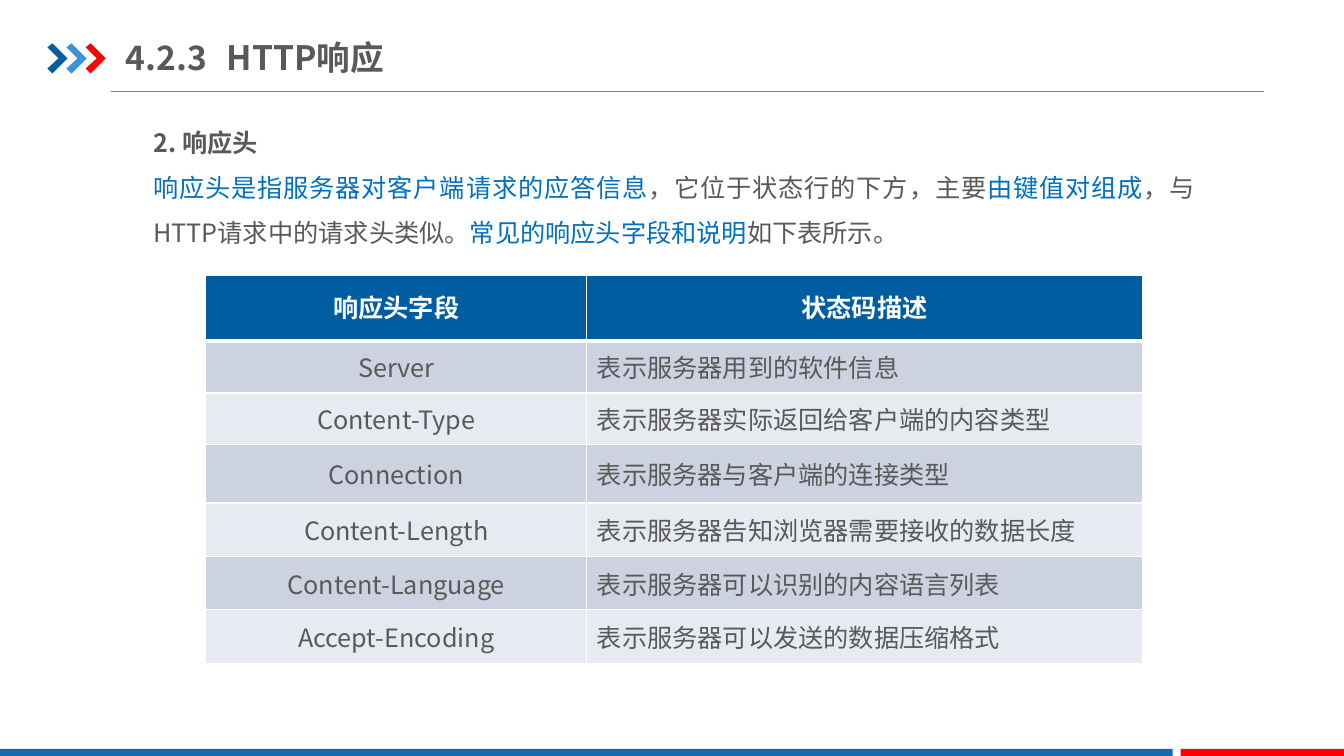
from dataclasses import dataclass

from lxml import etree
from pptx import Presentation
from pptx.dml.color import RGBColor
from pptx.enum.shapes import MSO_CONNECTOR, MSO_SHAPE
from pptx.enum.text import MSO_ANCHOR, PP_ALIGN
from pptx.oxml.ns import qn
from pptx.util import Inches, Pt

STRAIGHT = MSO_CONNECTOR.STRAIGHT
RECTANGLE = MSO_SHAPE.RECTANGLE
MIDDLE, TOP = MSO_ANCHOR.MIDDLE, MSO_ANCHOR.TOP
LEFT, CENTER, JUSTIFY = PP_ALIGN.LEFT, PP_ALIGN.CENTER, PP_ALIGN.JUSTIFY


@dataclass(frozen=True)
class Theme:
    font: str = "Noto Sans CJK SC"
    title_size: int = 24
    body_size: int = 18
    text: str = "595959"
    accent: str = "0070C0"
    white: str = "FFFFFF"
    rule: str = "808080"
    navy: str = "005DA2"
    sky: str = "3992DB"
    red: str = "FF0000"
    footer: str = "1369B2"
    bands: tuple = ("CCD2E0", "E7EAF0")


THEME = Theme()

# Content
TITLE = "4.2.3\tHTTP响应"
HEADING = "2. 响应头"
INTRO = [
    ("响应头是指服务器对客户端请求的应答信息", THEME.accent),
    ("，它位于状态行的下方，主要", THEME.text),
    ("由键值对组成", THEME.accent),
    ("，与HTTP请求中的请求头类似。", THEME.text),
    ("常见的响应头字段和说明", THEME.accent),
    ("如下表所示。", THEME.text),
]
HEADER_FIELDS = [
    ("响应头字段", "状态码描述"),
    ("Server", "表示服务器用到的软件信息"),
    ("Content-Type", "表示服务器实际返回给客户端的内容类型"),
    ("Connection", "表示服务器与客户端的连接类型"),
    ("Content-Length", "表示服务器告知浏览器需要接收的数据长度"),
    ("Content-Language", "表示服务器可以识别的内容语言列表"),
    ("Accept-Encoding", "表示服务器可以发送的数据压缩格式"),
]
COLUMN_WIDTHS = (3.78, 5.51)
ROW_HEIGHTS = (0.65, 0.52, 0.51, 0.58, 0.53, 0.53, 0.53)

# Chevron outline, relative to its left edge, and the footer bars (left, width, colour)
CHEVRON = [(0, 0.47), (0.05, 0.43), (0.2, 0.58), (0.05, 0.73), (0, 0.68), (0.11, 0.58)]
CHEVRON_LEFT, CHEVRON_STEP = 0.47, 0.19
FOOTER_BARS = [(0, 11.63, THEME.footer), (11.71, 1.63, THEME.red)]


def paint(shape, color):
    shape.shadow.inherit = False
    shape.fill.solid()
    shape.fill.fore_color.rgb = RGBColor.from_string(color)
    shape.line.fill.background()


def add_span(para, text, color, size=THEME.body_size, bold=False):
    span = para.add_run()
    span.text = text
    span.font.size = Pt(size)
    span.font.bold = bold
    span.font.color.rgb = RGBColor.from_string(color)
    span.font.name = THEME.font
    etree.SubElement(span.font._element, qn("a:ea"), typeface=THEME.font)


def add_text_box(page, left, top, width, height, side_inset, anchor):
    box = page.shapes.add_textbox(Inches(left), Inches(top), Inches(width), Inches(height))
    frame = box.text_frame
    frame.word_wrap = True
    frame.vertical_anchor = anchor
    frame.margin_left = frame.margin_right = Inches(side_inset)
    frame.margin_top = frame.margin_bottom = Inches(0.07)
    return frame


def add_frame(page):
    # Title rule
    rule = page.shapes.add_connector(STRAIGHT, Inches(1.1), Inches(0.91), Inches(12.54), Inches(0.91))
    rule.line.color.rgb = RGBColor.from_string(THEME.rule)
    rule.line.width = Pt(0.75)
    etree.SubElement(rule._element.spPr, qn("a:effectLst"))

    # Chevrons
    for index, color in enumerate((THEME.navy, THEME.sky, THEME.red)):
        left = CHEVRON_LEFT + index * CHEVRON_STEP
        points = [(Inches(left + x), Inches(y)) for x, y in CHEVRON]
        builder = page.shapes.build_freeform(*points[0])
        builder.add_line_segments(points[1:], close=True)
        paint(builder.convert_to_shape(), color)

    # Footer bars
    for left, width, color in FOOTER_BARS:
        bar = page.shapes.add_shape(RECTANGLE, Inches(left), Inches(7.43), Inches(width), Inches(0.09))
        paint(bar, color)


def add_title(page):
    para = add_text_box(page, 1.25, 0.29, 4.26, 0.55, 0, MIDDLE).paragraphs[0]
    tabs = etree.SubElement(para._p.get_or_add_pPr(), qn("a:tabLst"))
    etree.SubElement(tabs, qn("a:tab"), pos=str(Inches(1)), algn="l")
    add_span(para, TITLE, THEME.text, THEME.title_size, bold=True)


def add_intro(page):
    frame = add_text_box(page, 1.39, 1.04, 10.59, 1.5, 0.13, TOP)
    heading, body = frame.paragraphs[0], frame.add_paragraph()
    for para in (heading, body):
        para.alignment = JUSTIFY
        para.line_spacing = 1.5
    add_span(heading, HEADING, THEME.text, bold=True)
    for text, color in INTRO:
        add_span(body, text, color)


def set_borders(cell, top, bottom):
    properties = cell._tc.get_or_add_tcPr()
    sides = (("lnL", 1), ("lnR", 1), ("lnT", top), ("lnB", bottom))
    for position, (side, width) in enumerate(sides):
        line = etree.Element(qn(f"a:{side}"), w=str(Pt(width)))
        fill = etree.SubElement(line, qn("a:solidFill"))
        etree.SubElement(fill, qn("a:srgbClr"), val=THEME.white)
        properties.insert(position, line)


def add_field_table(page):
    table = page.shapes.add_table(
        len(HEADER_FIELDS), len(COLUMN_WIDTHS), Inches(2.04), Inches(2.73),
        Inches(sum(COLUMN_WIDTHS)), Inches(sum(ROW_HEIGHTS)),
    ).table
    for column, width in zip(table.columns, COLUMN_WIDTHS):
        column.width = Inches(width)
    for row, height in zip(table.rows, ROW_HEIGHTS):
        row.height = Inches(height)

    for row_index, texts in enumerate(HEADER_FIELDS):
        is_header = row_index == 0
        fill = THEME.navy if is_header else THEME.bands[(row_index - 1) % 2]
        for column_index, text in enumerate(texts):
            cell = table.cell(row_index, column_index)
            cell.vertical_anchor = MIDDLE
            cell.fill.solid()
            cell.fill.fore_color.rgb = RGBColor.from_string(fill)
            set_borders(cell, top=3 if row_index == 1 else 1, bottom=3 if is_header else 1)
            para = cell.text_frame.paragraphs[0]
            para.alignment = CENTER if is_header or column_index == 0 else LEFT
            if is_header:
                para.line_spacing = 0.9
            add_span(para, text, THEME.white if is_header else THEME.text, bold=is_header)


def main():
    deck = Presentation()
    deck.slide_width, deck.slide_height = Inches(13.33), Inches(7.5)
    page = deck.slides.add_slide(deck.slide_layouts[6])
    add_frame(page)
    add_intro(page)
    add_field_table(page)
    add_title(page)
    deck.save("out.pptx")


if __name__ == "__main__":
    main()
